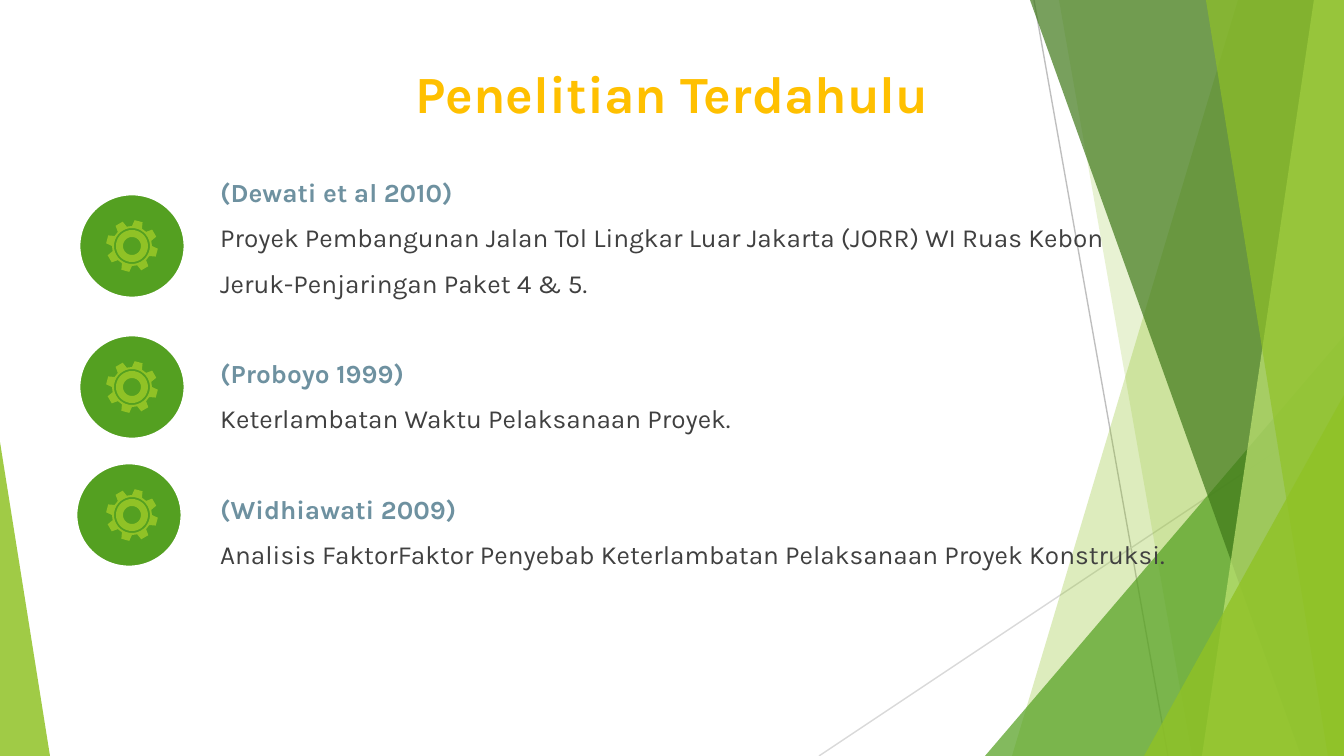
from math import cos, sin, radians
from pptx import Presentation, util as u
from pptx.dml.color import RGBColor
from pptx.enum import shapes as sh, text as tx
from pptx.oxml.ns import qn
from lxml import etree

PX = 6804  # EMU per px, slide is 1344 x 756 px
W, H = 1344, 756

prs = Presentation()
prs.slide_width, prs.slide_height = W * PX, H * PX
slide = prs.slides.add_slide(prs.slide_layouts[6])
draw = slide.shapes


def paint(shape, color, alpha=100, edge=None):
    shape.shadow.inherit = False
    shape.fill.solid()
    shape.fill.fore_color.rgb = RGBColor.from_string(color)
    if alpha < 100:
        tone = shape.fill._xPr.find(qn("a:solidFill"))[0]
        etree.SubElement(tone, qn("a:alpha"), val=str(alpha * 1000))
    if edge:
        shape.line.color.rgb = RGBColor.from_string(edge)
        shape.line.width = u.Pt(1.5)
    else:
        shape.line.fill.background()


def outline(*rings):
    rings = [[(x * PX, y * PX) for x, y in ring] for ring in rings]
    pen = draw.build_freeform(*rings[0][0])
    pen.add_line_segments(rings[0][1:])
    for ring in rings[1:]:
        pen.move_to(*ring[0])
        pen.add_line_segments(ring[1:])
    return pen.convert_to_shape()


# Thin background lines
for x1, y1, x2, y2, color in [(1034, 0, 1168, H, "BFBFBF"),
                              (W, 406, 819, H, "D9D9D9")]:
    line = draw.add_connector(sh.MSO_CONNECTOR.STRAIGHT,
                              x1 * PX, y1 * PX, x2 * PX, y2 * PX)
    line.line.color.rgb = RGBColor.from_string(color)
    line.line.width = u.Pt(0.75)
    etree.SubElement(line._element.spPr, qn("a:effectLst"))

# Green facets: bands run to the right edge from a top x to a bottom x,
# triangles have left, top, width and apex
facets = [
    ("band", (1238, 1012), "90C226", 30),
    ("band", (1059, 1192), "90C226", 20),
    ("peak", (985, 336, 359, 1), "54A021", 72),
    ("band", (1030, 1301), "3F7819", 70),
    ("band", (1314, 1202), "C0E474", 70),
    ("band", (1206, 1328), "90C226", 65),
    ("peak", (1144, 395, 200, 1), "90C226", 80),
    ("peak", (0, 442, 50, 0), "90C226", 85),
]
for kind, place, color, alpha in facets:
    if kind == "band":
        top, low = place
        facet = outline([(top, 0), (W, 0), (W, H), (low, H), (top, 0)])
    else:
        x, y, wide, apex = place
        facet = draw.add_shape(sh.MSO_SHAPE.ISOSCELES_TRIANGLE,
                               x * PX, y * PX, wide * PX, (H - y) * PX)
        facet.adjustments[0] = apex
    paint(facet, color, alpha)

# Title and list of studies: text, colour, bold, space before
head = {"size": u.Pt(28), "bold": True}
name = {"size": u.Pt(14), "bold": True}
body = {"size": u.Pt(14), "bold": False}
GAP, BREAK = 7.5, 31.5
blocks = [
    ((0, 50, W, 85), tx.PP_ALIGN.CENTER, [
        ("Penelitian Terdahulu", "FFC000", head, GAP)]),
    ((207, 167, 1101, 412), tx.PP_ALIGN.LEFT, [
        ("(Dewati et al 2010)", "6E91A0", name, GAP),
        ("Proyek Pembangunan Jalan Tol Lingkar Luar Jakarta (JORR) WI Ruas Kebon",
         "404040", body, GAP),
        ("Jeruk-Penjaringan Paket 4 & 5.", "404040", body, GAP),
        ("(Proboyo 1999)", "6E91A0", name, BREAK),
        ("Keterlambatan Waktu Pelaksanaan Proyek.", "404040", body, GAP),
        ("(Widhiawati 2009)", "6E91A0", name, BREAK),
        ("Analisis FaktorFaktor Penyebab Keterlambatan Pelaksanaan Proyek Konstruksi.",
         "404040", body, GAP)]),
]
for box, align, rows in blocks:
    frame = draw.add_textbox(*(v * PX for v in box)).text_frame
    frame.word_wrap = True
    frame.vertical_anchor = tx.MSO_ANCHOR.MIDDLE
    for i, (words, color, style, space) in enumerate(rows):
        para = frame.add_paragraph() if i else frame.paragraphs[0]
        para.alignment = align
        para.space_before = u.Pt(space)
        run = para.add_run()
        run.text = words
        run.font.name = "Karla"
        run.font.color.rgb = RGBColor.from_string(color)
        for key, val in style.items():
            setattr(run.font, key, val)

# Gear outline around its centre: eight teeth, then three round rims
teeth = [(r, 15 + 45 * k + a) for k in range(8)
         for r, a in [(20, -15), (26, -9), (26, 9), (20, 15)]]
rims = [[(r, a) for a in range(0, 360, 10)] for r in (18, 16, 9)]
gear = [[(r * cos(radians(a)), r * sin(radians(a))) for r, a in ring + ring[:1]]
        for ring in [teeth] + rims]

# Round badges with gears
for cx, cy in [(132, 387), (132, 246), (129, 515)]:
    disc = draw.add_shape(sh.MSO_SHAPE.OVAL, (cx - 53) * PX, (cy - 52) * PX,
                          106 * PX, 104 * PX)
    paint(disc, "54A021", edge="FFFFFF")
    cog = outline(*[[(132 + x, cy + y) for x, y in ring] for ring in gear])
    paint(cog, "90C226")

prs.save("out.pptx")
